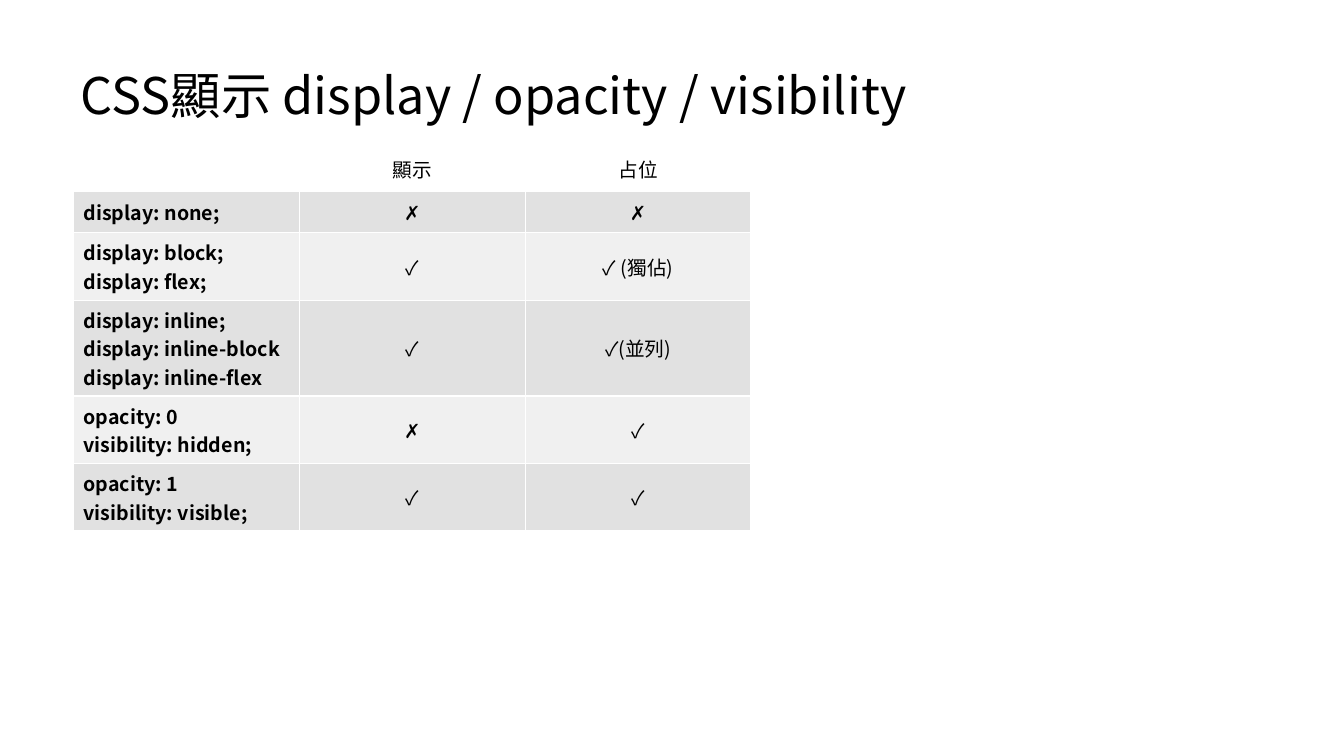
from lxml.etree import SubElement
from pptx import Presentation
from pptx.dml.color import RGBColor
from pptx.enum.text import MSO_ANCHOR as Anchor, PP_ALIGN as Align
from pptx.oxml.ns import qn
from pptx.util import Inches, Pt

TITLE = "CSS顯示 display / opacity / visibility"
HEADER = ("", "顯示", "占位")
ROWS = [
    ("display: none;", "✗", "✗"),
    ("display: block;\ndisplay: flex;", "✓", "✓ (獨佔)"),
    ("display: inline;\ndisplay: inline-block\ndisplay: inline-flex", "✓", "✓(並列)"),
    ("opacity: 0\nvisibility: hidden;", "✗", "✓"),
    ("opacity: 1\nvisibility: visible;", "✓", "✓"),
]
HEIGHTS = (0.41, 0.42, 0.67, 0.95, 0.67, 0.67)
COL_WIDTH = 2.24
FONT = "Noto Sans CJK SC"
COLORS = {"text": "000000", "border": "FFFFFF", "odd": "E1E1E1", "even": "F0F0F0"}


def write(tf, text, size, bold=False, align=Align.LEFT, spacing=None):
    tf.text = text
    for p in tf.paragraphs:
        p.alignment = align
        p.line_spacing = spacing
        for font in [p.font] + [r.font for r in p.runs]:
            for name, value in {"name": FONT, "size": Pt(size), "bold": bold}.items():
                setattr(font, name, value)
            font.color.rgb = RGBColor.from_string(COLORS["text"])
        for r in p.runs:
            SubElement(r.font._element, qn("a:ea"), typeface=FONT)


def add_borders(cell, bottom):
    tcPr = cell._tc.get_or_add_tcPr()
    for side, width in {"L": 1, "R": 1, "T": 1, "B": bottom}.items():
        ln = SubElement(tcPr, qn(f"a:ln{side}"), w=str(Pt(width)))
        fill = SubElement(ln, qn("a:solidFill"))
        SubElement(fill, qn("a:srgbClr"), val=COLORS["border"])


prs = Presentation()
prs.slide_width, prs.slide_height = Inches(13.33), Inches(7.5)
s = prs.slides.add_slide(prs.slide_layouts[6])

box = s.shapes.add_textbox(Inches(0.7), Inches(0.35), Inches(11.93), Inches(1.24))
tf = box.text_frame
tf.word_wrap = True
tf.vertical_anchor = Anchor.MIDDLE
write(tf, TITLE, 36, spacing=0.9)

rows = [HEADER] + ROWS
table = s.shapes.add_table(
    len(rows), len(HEADER), Inches(0.73), Inches(1.48),
    Inches(COL_WIDTH * len(HEADER)), Inches(sum(HEIGHTS)),
).table
for col in table.columns:
    col.width = Inches(COL_WIDTH)
for i, (texts, height) in enumerate(zip(rows, HEIGHTS)):
    table.rows[i].height = Inches(height)
    for j, text in enumerate(texts):
        cell = table.cell(i, j)
        cell.vertical_anchor = Anchor.MIDDLE if i else Anchor.TOP
        write(cell.text_frame, text, 14, bold=i > 0 and j == 0,
              align=Align.CENTER if j else Align.LEFT)
        add_borders(cell, 1 if i else 3)
        if i:
            cell.fill.solid()
            cell.fill.fore_color.rgb = RGBColor.from_string(COLORS["odd" if i % 2 else "even"])
        else:
            cell.fill.background()

prs.save("out.pptx")
